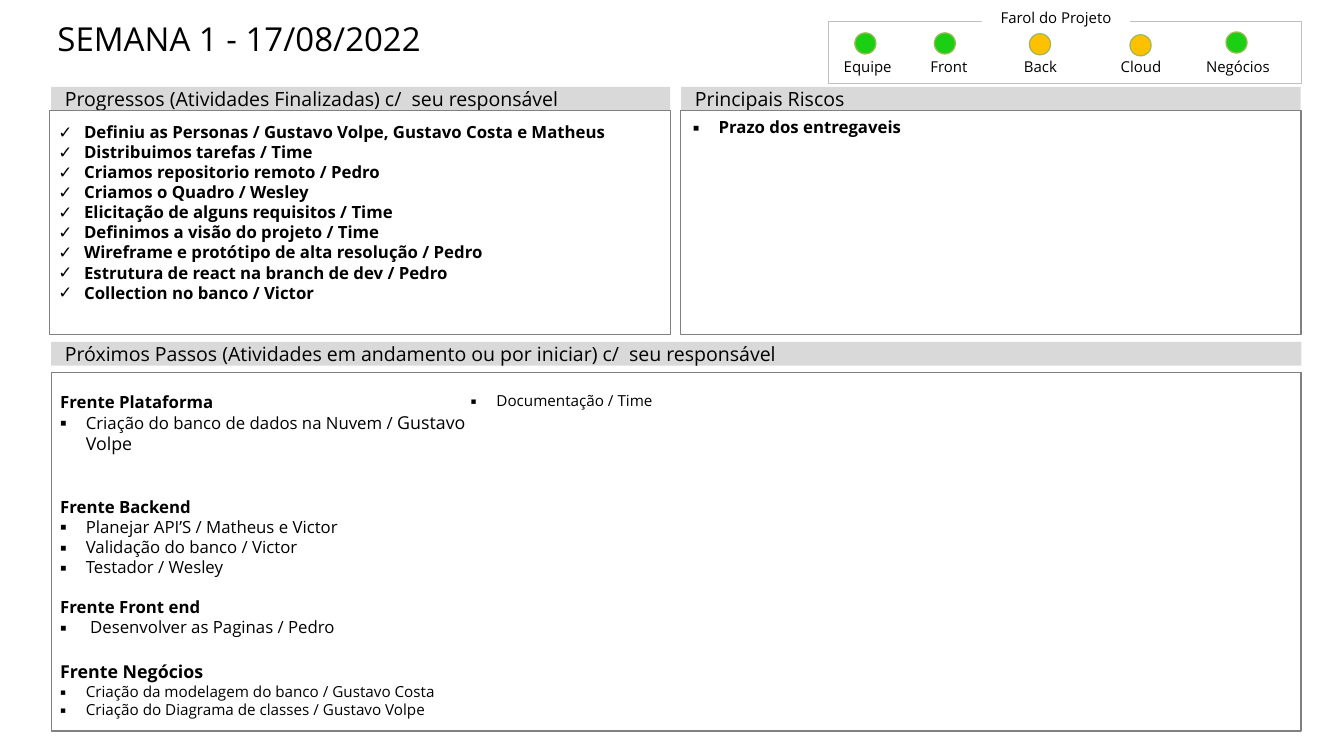
from pptx import Presentation
from pptx.dml.color import RGBColor
from pptx.enum.shapes import MSO_SHAPE
from pptx.enum.text import MSO_ANCHOR, PP_ALIGN
from pptx.util import Pt
from lxml import etree

RECT, OVAL = MSO_SHAPE.RECTANGLE, MSO_SHAPE.OVAL
TOP, MIDDLE, BOTTOM = MSO_ANCHOR.TOP, MSO_ANCHOR.MIDDLE, MSO_ANCHOR.BOTTOM
LEFT, CENTER = PP_ALIGN.LEFT, PP_ALIGN.CENTER
FONT = "Open Sans"
BLACK, WHITE, GRAY, SILVER, BAND = "000000", "FFFFFF", "808080", "BFBFBF", "D9D9D9"
GREEN, AMBER, RIM = "1BCF13", "FFC000", "9BBB59"
CHECK, SQUARE = "✓", "▪"
BODY, LABEL, HEADING = 13.2, 11.8, 15.4
INDENT, LEADING = 20.25, 1.2

TITLE = "SEMANA 1 - 17/08/2022"
LIGHTS_TITLE = "Farol do Projeto"
LIGHTS = [
    ("Equipe", GREEN, 648, 673.2, 25.9),
    ("Front", GREEN, 712, 735.8, 25.9),
    ("Back", AMBER, 784, 810.7, 26.6),
    ("Cloud", AMBER, 863.2, 889.9, 27.4),
    ("Negócios", GREEN, 939.6, 965.5, 25.2),
]
HEADINGS = [
    ("Progressos (Atividades Finalizadas) c/  seu responsável", 40.3, 68.4, 487.4),
    ("Principais Riscos", 536.4, 68.4, 487.8),
    ("Próximos Passos (Atividades em andamento ou por iniciar) c/  seu responsável",
     40.3, 269.3, 984.6),
]
PROGRESS = [
    "Definiu as Personas / Gustavo Volpe, Gustavo Costa e Matheus",
    "Distribuimos tarefas / Time",
    "Criamos repositorio remoto / Pedro",
    "Criamos o Quadro / Wesley",
    "Elicitação de alguns requisitos / Time",
    "Definimos a visão do projeto / Time",
    "Wireframe e protótipo de alta resolução / Pedro",
    "Estrutura de react na branch de dev / Pedro",
    "Collection no banco / Victor",
]
RISKS = ["Prazo dos entregaveis"]
FRONTS = [
    ("Frente Plataforma", BODY, 0,
     [[("Criação do banco de dados na Nuvem / ", BODY), ("Gustavo Volpe", 14)]]),
    ("Frente Backend", BODY, 33,
     [[("Planejar API’S / Matheus e Victor", BODY)],
      [("Validação do banco / Victor", BODY)],
      [("Testador / Wesley", BODY)]]),
    ("Frente Front end", BODY, 16, [[(" Desenvolver as Paginas / Pedro", BODY)]]),
    ("Frente Negócios", 14, 18.6,
     [[("Criação da modelagem do banco / Gustavo Costa", 12)],
      [("Criação do Diagrama de classes / Gustavo Volpe", 12)],
      [("Documentação / Time", 12)]]),
]

prs = Presentation()
prs.slide_width, prs.slide_height = Pt(1058.4), Pt(595.44)
s = prs.slides.add_slide(prs.slide_layouts[6])


def rgb(value):
    return RGBColor.from_string(value)


def set_frame(sp, insets, anchor=TOP, wrap=True):
    tf = sp.text_frame
    sides = ("margin_left", "margin_top", "margin_right", "margin_bottom")
    values = dict(zip(sides, map(Pt, insets)), vertical_anchor=anchor, word_wrap=wrap)
    for name, value in values.items():
        setattr(tf, name, value)
    return tf


def add_box(kind, place, fill=None, line=None, width=1):
    sp = s.shapes.add_shape(kind, *map(Pt, place))
    sp.shadow.inherit = False
    if fill:
        sp.fill.solid()
        sp.fill.fore_color.rgb = rgb(fill)
    else:
        sp.fill.background()
    if line:
        sp.line.color.rgb = rgb(line)
        sp.line.width = Pt(width)
    else:
        sp.line.fill.background()
    return sp


def add_paragraph(tf, runs, bold=False, align=LEFT, bullet=None, before=0, leading=None):
    p = tf.paragraphs[0] if not tf.paragraphs[0].runs else tf.add_paragraph()
    p.alignment = align
    p.space_before = Pt(before)
    if leading:
        p.line_spacing = Pt(round(leading * max(size for _, size in runs), 2))
    if bullet:
        props = p._p.get_or_add_pPr()
        props.set("marL", str(Pt(INDENT)))
        props.set("indent", str(-Pt(INDENT)))
        ns = props.nsmap["a"]
        etree.SubElement(props, f"{{{ns}}}buFont").set("typeface", FONT)
        etree.SubElement(props, f"{{{ns}}}buChar").set("char", bullet)
    for text, size in runs:
        r = p.add_run()
        r.text = text
        for name, value in dict(name=FONT, size=Pt(size), bold=bold).items():
            setattr(r.font, name, value)
        r.font.color.rgb = rgb(BLACK)


def add_label(sp, text):
    tf = set_frame(sp, (4.3, 4.3, 4.3, 0), BOTTOM, False)
    add_paragraph(tf, [(text, LABEL)], align=CENTER)


title = s.shapes.add_textbox(Pt(36.7), Pt(14.5), Pt(377), Pt(63))
add_paragraph(set_frame(title, (8.6, 0, 8.6, 0)), [(TITLE, 26)])

add_box(RECT, (652.3, 16.6, 372.2, 49), line=SILVER, width=0.5)
add_label(add_box(RECT, (773.3, 4.3, 116.6, 16.6), fill=WHITE), LIGHTS_TITLE)
for name, color, label_x, light_x, light_y in LIGHTS:
    add_box(OVAL, (light_x, light_y, 16.6, 16.6), fill=color, line=RIM)
    add_label(s.shapes.add_textbox(Pt(label_x), Pt(45.4), Pt(70.6), Pt(14.4)), name)

for text, x, y, w in HEADINGS:
    band = add_box(RECT, (x, y, w, 18.7), fill=BAND)
    add_paragraph(set_frame(band, (10.8, 5, 10.8, 5), MIDDLE), [(text, HEADING)])

panels = [(38.9, 8.6, 7.2, PROGRESS, CHECK), (535.7, 5, 10, RISKS, SQUARE)]
for x, top, side, items, bullet in panels:
    panel = add_box(RECT, (x, 87.1, 488.9, 176.4), line=GRAY)
    tf = set_frame(panel, (side, top, 7.2, 3.6))
    for item in items:
        add_paragraph(tf, [(item, BODY)], bold=True, bullet=bullet, leading=LEADING)

steps = add_box(RECT, (40.3, 293.6, 984.2, 282.2), line=GRAY)
tf = set_frame(steps, (7.2, 14.8, 7.2, 3.6))
tf._txBody.bodyPr.set("numCol", "3")
for front, size, gap, tasks in FRONTS:
    add_paragraph(tf, [(front, size)], bold=True, before=gap, leading=LEADING)
    for task in tasks:
        add_paragraph(tf, task, bullet=SQUARE, leading=LEADING)

prs.save("out.pptx")
